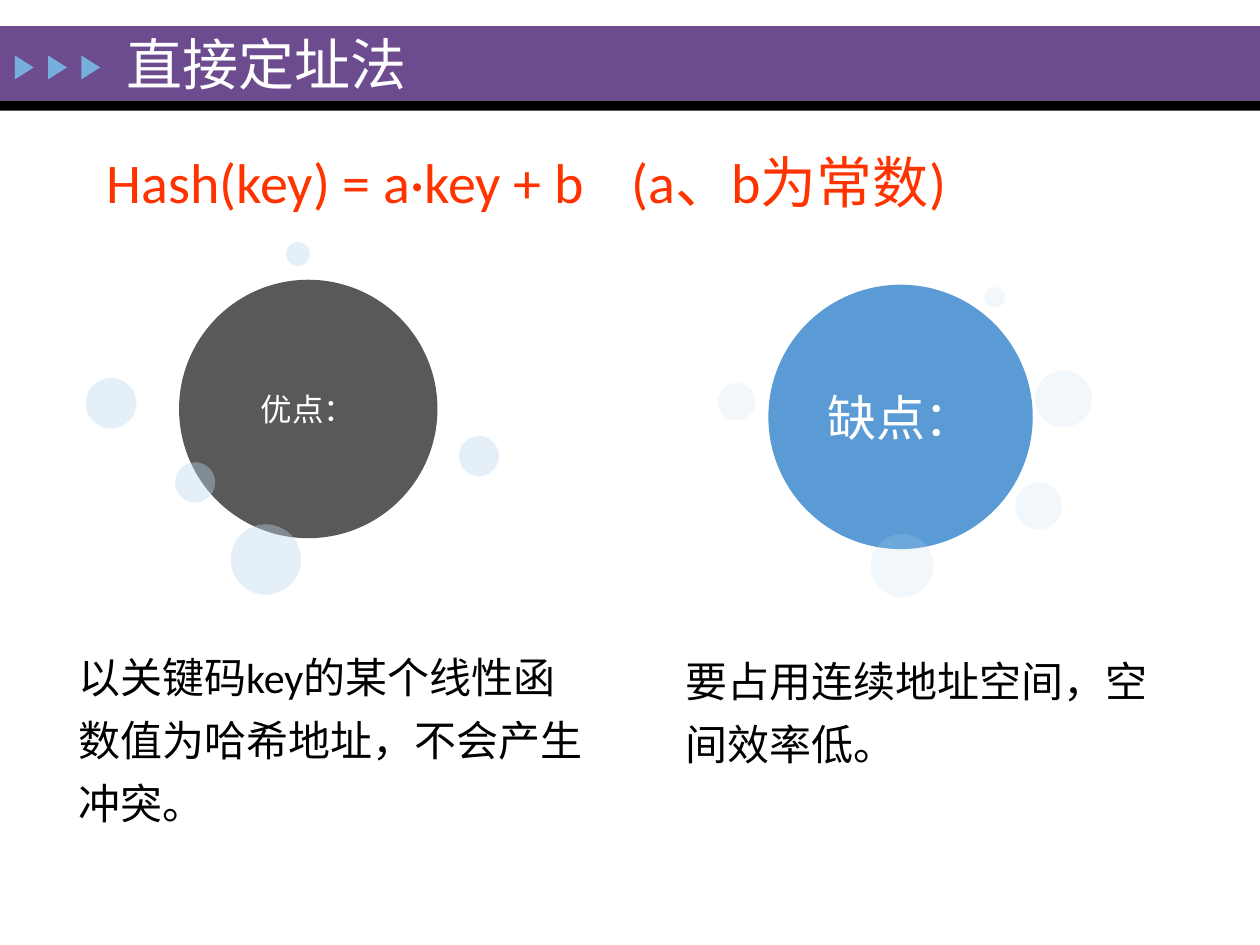
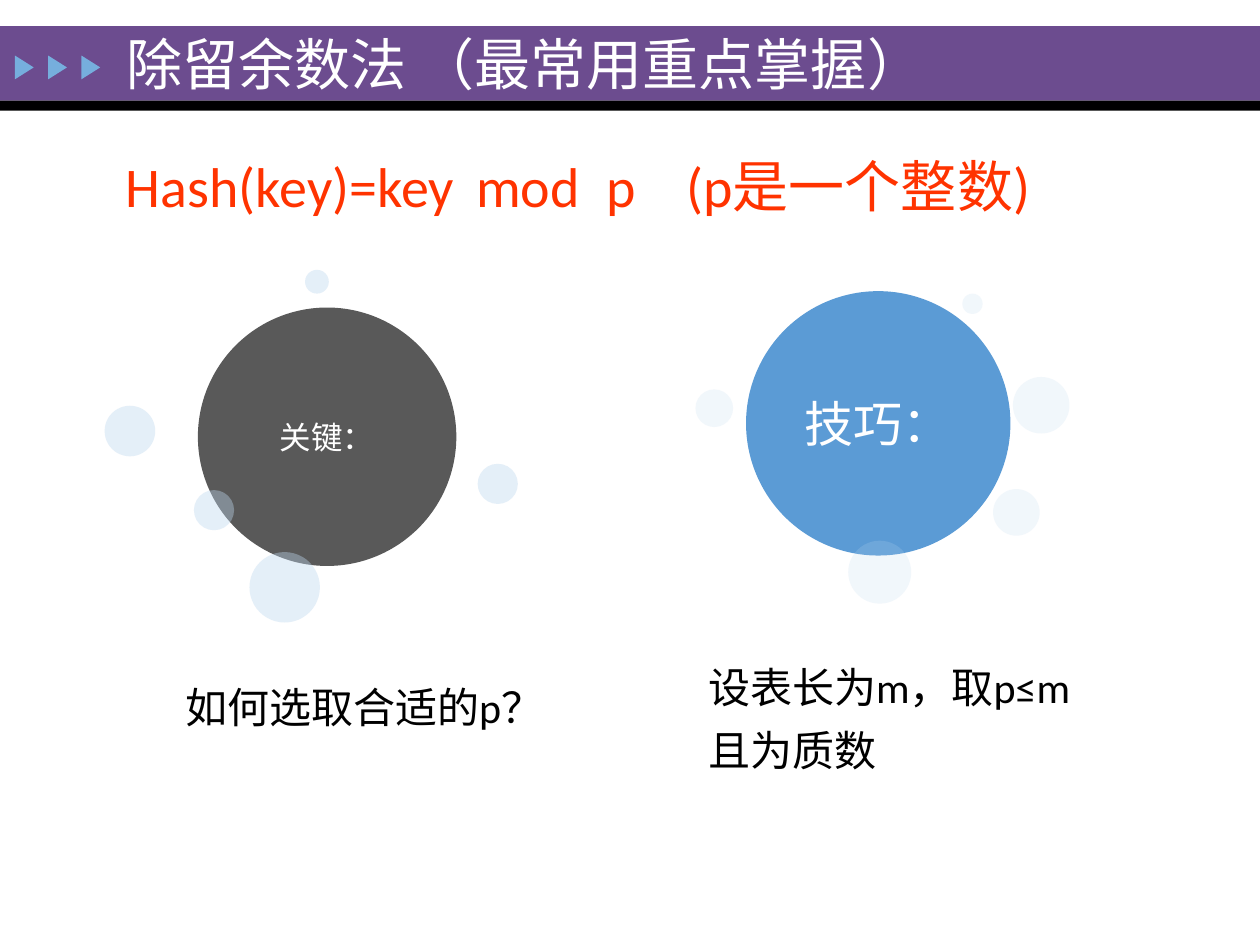
from lxml import etree
from pptx import Presentation
from pptx.dml.color import RGBColor
from pptx.enum import shapes as kinds, text as txt
from pptx.oxml.ns import qn
from pptx.util import Cm, Pt

FONT = "Calibri"
WHITE = RGBColor(0xFF, 0xFF, 0xFF)
BLACK = RGBColor(0, 0, 0)
PURPLE = RGBColor(0x6C, 0x4C, 0x8F)
SKY = RGBColor(0x76, 0xAE, 0xDD)
RED = RGBColor(0xFF, 0x33, 0x00)
GREY = RGBColor(0x59, 0x59, 0x59)
BLUE = RGBColor(0x5B, 0x9B, 0xD5)
PALE = RGBColor(0xBD, 0xD7, 0xEE)

# All lengths are in centimetres; boxes are (left, top, width, height).
SLIDES = [
    {
        "title": ("直接定址法", 11.96),
        "formula": ("Hash(key) = a·key + b\t(a、b为常数)", (1.9, 2.51, 22.8, 1.8), [10.58], 1.25),
        "topics": [
            ("优点：", (3.61, 5.64), "以关键码key的某个线性函数值为哈希地址，不会产生冲突。", (1.32, 12.75, 10.72, 3.99)),
            ("缺点：", (15.49, 5.74), "要占用连续地址空间，空间效率低。", (13.56, 12.83, 10.52, 2.69)),
        ],
    },
    {
        "title": ("除留余数法 （最常用重点掌握）", 18.59),
        "formula": ("Hash(key)=key\tmod\tp\t(p是一个整数)", (2.29, 2.92, 23.01, 1.63), [7.06, 9.68, 11.3], 1),
        "topics": [
            ("关键：", (3.99, 6.2), "如何选取合适的p？", (3.48, 13.36, 7.92, 2.82)),
            ("技巧：", (15.04, 5.87), "设表长为m，取p≤m且为质数", (14.02, 12.95, 7.85, 2.82)),
        ],
    },
]

# Bubbles are (left, top, diameter), measured from the corner of the main circle.
CLUSTERS = [
    {"diameter": 5.21, "fill": GREY, "size": 18, "opacity": 40,
     "bubbles": [(5.64, 3.15, 0.81), (-0.08, 3.68, 0.81), (1.04, 4.93, 1.42),
                 (2.16, -0.76, 0.48), (-1.88, 1.98, 1.02)]},
    {"diameter": 5.33, "fill": BLUE, "size": 28, "opacity": 20,
     "bubbles": [(-1.02, 1.98, 0.76), (2.06, 5.03, 1.27), (4.36, 0.05, 0.41),
                 (4.98, 3.99, 0.94), (5.38, 1.73, 1.14)]},
]

BANDS = [(0.53, 1.5, PURPLE), (2.03, 0.2, BLACK)]
ARROW_COUNT, ARROW_LEFT, ARROW_STEP = 3, 0.25, 0.67


def add_plain(parent, kind, box, fill):
    shape = parent.shapes.add_shape(kind, *map(Cm, box))
    shape.shadow.inherit = False
    shape.fill.solid()
    shape.fill.fore_color.rgb = fill
    shape.line.fill.background()
    return shape


def place(shape, box):
    shape.left, shape.top, shape.width, shape.height = map(Cm, box)


def write(shape, content, size, color, align, spacing=1, tabs=(), plain=False):
    """Fill a shape with one paragraph; plain removes an inherited bullet."""
    frame = shape.text_frame
    frame.auto_size = txt.MSO_AUTO_SIZE.NONE
    frame.word_wrap = True
    paragraph = frame.paragraphs[0]
    paragraph.text = content
    properties = paragraph._p.get_or_add_pPr()
    if plain:
        properties.set("marL", "0")
        properties.set("indent", "0")
        etree.SubElement(properties, qn("a:buNone"))
    if tabs:
        stops = etree.SubElement(properties, qn("a:tabLst"))
        for position in tabs:
            etree.SubElement(stops, qn("a:tab"), pos=str(Cm(position)), algn="l")
    paragraph.alignment = align
    paragraph.line_spacing = spacing
    paragraph.space_before = Pt(0)
    font = paragraph.font
    font.name, font.size, font.color.rgb = FONT, Pt(size), color
    return frame


def add_header(slide):
    """Draw the bands and arrows, then move them to the layout shared by all slides."""
    header = [add_plain(slide, kinds.MSO_SHAPE.RECTANGLE, (0, top, 25.4, height), fill)
              for top, height, fill in BANDS]
    for index in range(ARROW_COUNT):
        box = (ARROW_LEFT + index * ARROW_STEP, 1.17, 0.48, 0.38)
        arrow = add_plain(slide, kinds.MSO_SHAPE.ISOSCELES_TRIANGLE, box, SKY)
        arrow.rotation = 90
        header.append(arrow)
    for part in header:
        slide.slide_layout.shapes.element.append(part._element)


def add_cluster(slide, label, corner, style):
    left, top = corner
    group = slide.shapes.add_group_shape()
    diameter = style["diameter"]
    circle = add_plain(group, kinds.MSO_SHAPE.OVAL, (left, top, diameter, diameter), style["fill"])
    frame = write(circle, label, style["size"], WHITE, txt.PP_ALIGN.CENTER)
    frame.word_wrap = False
    frame.vertical_anchor = txt.MSO_ANCHOR.MIDDLE
    frame.margin_left = frame.margin_right = frame.margin_top = frame.margin_bottom = 0
    for dx, dy, width in style["bubbles"]:
        bubble = add_plain(group, kinds.MSO_SHAPE.OVAL, (left + dx, top + dy, width, width), PALE)
        tint = bubble._element.spPr.find(qn("a:solidFill"))[0]
        etree.SubElement(tint, qn("a:alpha"), val=str(style["opacity"] * 1000))


def add_method(slide, method):
    heading, explanations = slide.shapes.title, list(slide.placeholders)[1:]
    title, width = method["title"]
    place(heading, (2.29, 0.56, width, 1.42))
    frame = write(heading, title, 32, WHITE, txt.PP_ALIGN.LEFT)
    frame.vertical_anchor = txt.MSO_ANCHOR.MIDDLE

    rule, box, tabs, spacing = method["formula"]
    formula = slide.shapes.add_textbox(*map(Cm, box))
    write(formula, rule, 32, RED, txt.PP_ALIGN.JUSTIFY, spacing, tabs)

    for topic, explanation, style in zip(method["topics"], explanations, CLUSTERS):
        label, corner, detail, box = topic
        place(explanation, box)
        write(explanation, detail, 24, BLACK, txt.PP_ALIGN.LEFT, 1.25, plain=True)
        add_cluster(slide, label, corner, style)


def main():
    deck = Presentation()
    deck.slide_width, deck.slide_height = Cm(25.4), Cm(19.05)
    two_content = deck.slide_layouts[3]
    for number, method in enumerate(SLIDES):
        slide = deck.slides.add_slide(two_content)
        if number == 0:
            add_header(slide)
        add_method(slide, method)
    deck.save("out.pptx")


if __name__ == "__main__":
    main()
